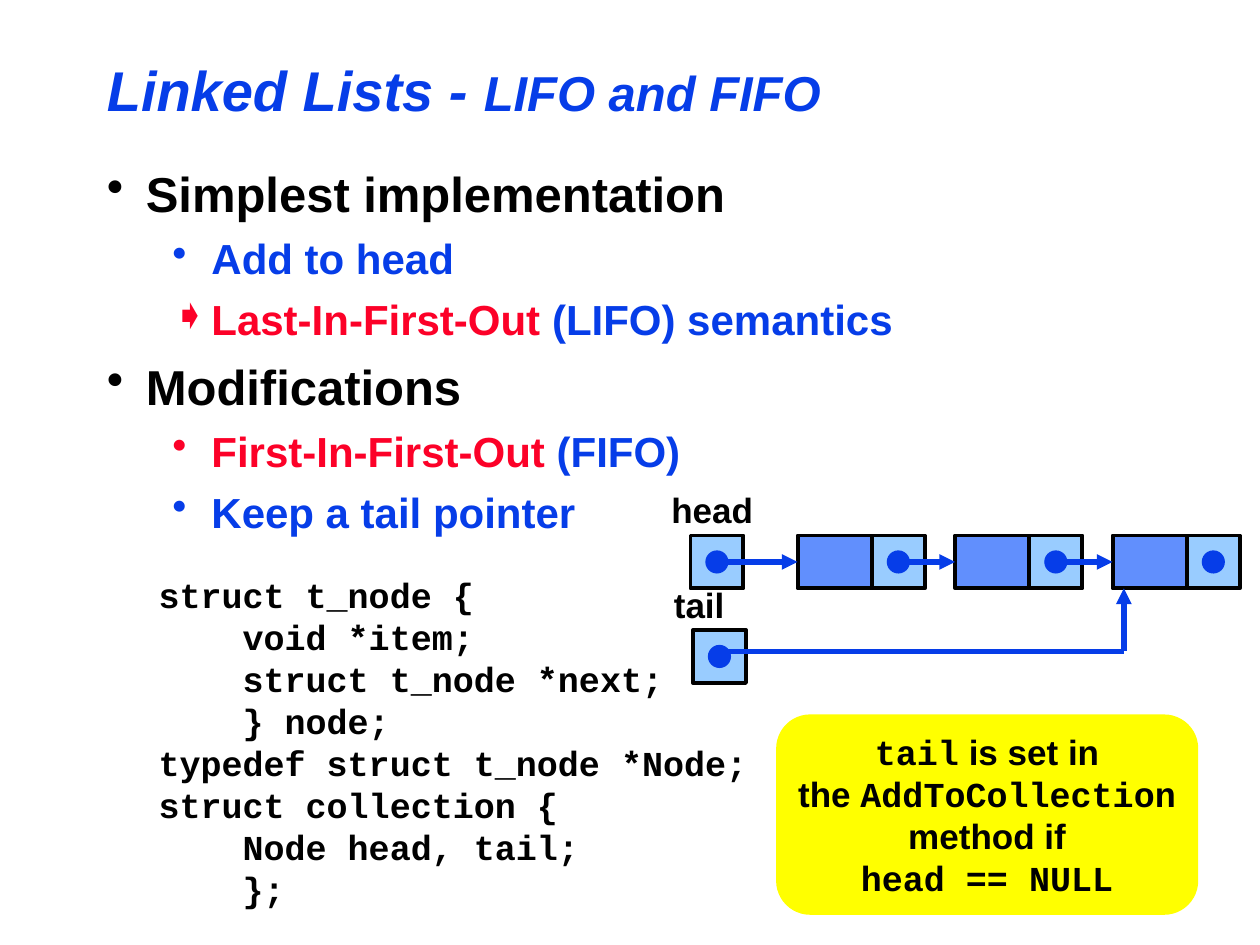
from lxml import etree
from pptx import Presentation
from pptx.dml.color import RGBColor
from pptx.enum.shapes import MSO_CONNECTOR, MSO_SHAPE
from pptx.enum.text import MSO_ANCHOR, PP_ALIGN
from pptx.oxml.ns import qn
from pptx.util import Inches, Pt

RECT, OVAL, ROUND = MSO_SHAPE.RECTANGLE, MSO_SHAPE.OVAL, MSO_SHAPE.ROUNDED_RECTANGLE
LINE = MSO_CONNECTOR.STRAIGHT
MIDDLE = MSO_ANCHOR.MIDDLE
LEFT, CENTER = PP_ALIGN.LEFT, PP_ALIGN.CENTER

BLACK, BLUE, RED = "000000", "063DE8", "FC0128"
LIGHT, MID, YELLOW, WHITE = "99CCFF", "618FFD", "FFFF00", "FFFFFF"
SANS, MONO = "Arial", "Courier New"
CELL, DOT, ITEM, STEP = 0.42, 0.17, 0.59, 1.25

CODE = [
    "struct t_node {",
    "    void *item;",
    "    struct t_node *next;",
    "    } node;",
    "typedef struct t_node *Node;",
    "struct collection {",
    "    Node head, tail;",
    "    };",
]
POINTS = [
    (0, "•", [("Simplest implementation", BLACK)]),
    (1, "•", [("Add to head", BLUE)]),
    (1, "➧", [("Last-In-First-Out", RED), (" (LIFO) semantics", BLUE)]),
    (0, "•", [("Modifications", BLACK)]),
    (1, "•", [("First-In-First-Out", RED), (" (FIFO)", BLUE)]),
    (1, "•", [("Keep a tail pointer", BLUE)]),
]
NOTE = [
    [("tail", MONO), (" is set in", SANS)],
    [("the ", SANS), ("AddToCollection", MONO)],
    [("method if", SANS)],
    [("head == NULL", MONO)],
]


def color(code):
    return RGBColor.from_string(code)


def add_run(para, text, size, tint=BLACK, face=SANS, italic=False):
    run = para.add_run()
    run.text = text
    font = run.font
    font.name, font.size = face, Pt(size)
    font.bold, font.italic = True, italic
    font.color.rgb = color(tint)


def add_para(frame, first, size, align=LEFT):
    para = frame.paragraphs[0] if first else frame.add_paragraph()
    para.alignment = align
    para.line_spacing = Pt(size * 1.2)
    return para


def add_text(slide, box, wrap=False):
    frame = slide.shapes.add_textbox(*map(Inches, box)).text_frame
    frame.word_wrap = wrap
    return frame


def add_shape(slide, kind, box, fill, edge=None, width=2.25):
    shape = slide.shapes.add_shape(kind, *map(Inches, box))
    shape.shadow.inherit = False
    shape.fill.solid()
    shape.fill.fore_color.rgb = color(fill)
    if edge:
        shape.line.color.rgb = color(edge)
        shape.line.width = Pt(width)
    else:
        shape.line.fill.background()
    return shape


def add_line(slide, start, end, head=True):
    line = slide.shapes.add_connector(LINE, *map(Inches, start + end))
    line.line.color.rgb = color(BLUE)
    line.line.width = Pt(3)
    if head:
        etree.SubElement(line.line._get_or_add_ln(), qn("a:tailEnd"), type="triangle")
    etree.SubElement(line._element.spPr, qn("a:effectLst"))


def add_bullet(para, mark, tint, left):
    props = para._p.get_or_add_pPr()
    props.set("marL", str(Inches(left)))
    props.set("indent", str(Inches(-0.31)))
    shade = etree.SubElement(props, qn("a:buClr"))
    etree.SubElement(shade, qn("a:srgbClr"), val=tint)
    etree.SubElement(props, qn("a:buChar"), char=mark)


def add_title(slide, box):
    frame = add_text(slide, box, True)
    frame.vertical_anchor = MIDDLE
    para = frame.paragraphs[0]
    add_run(para, "Linked Lists - ", 32, BLUE, italic=True)
    add_run(para, "LIFO and FIFO", 28, BLUE, italic=True)


def add_points(slide, box):
    frame = add_text(slide, box, True)
    for i, (level, mark, parts) in enumerate(POINTS):
        size, left, gap = [(28, 0.31, 7), (24, 0.83, 6)][level]
        para = add_para(frame, i == 0, size)
        para.level = level
        if i:
            para.space_before = Pt(gap)
        add_bullet(para, mark, parts[0][1], left)
        for text, tint in parts:
            add_run(para, text, size, tint)


def add_code(slide, box):
    frame = add_text(slide, box, True)
    for i, text in enumerate(CODE):
        add_run(add_para(frame, i == 0, 20), text, 20, face=MONO)


def add_note(slide, box):
    shape = add_shape(slide, ROUND, box, YELLOW)
    shape.adjustments[0] = 0.17
    frame = shape.text_frame
    frame.word_wrap = False
    frame.vertical_anchor = MIDDLE
    for i, parts in enumerate(NOTE):
        para = add_para(frame, i == 0, 20, CENTER)
        for text, face in parts:
            add_run(para, text, 20, face=face)


def add_cell(slide, x, y):
    add_shape(slide, RECT, (x, y, CELL, CELL), LIGHT, BLACK)
    inset = (CELL - DOT) / 2
    add_shape(slide, OVAL, (x + inset, y + inset, DOT, DOT), BLUE, BLUE, 1)


def add_label(slide, text, box):
    add_run(add_para(add_text(slide, box), True, 20), text, 20)


def add_list(slide, box):
    x, y, wide, high = box
    top, low = y + 0.42, y + high - CELL
    mid, turn = top + CELL / 2, low + 0.17
    nodes = [x + 1.1 + STEP * i for i in range(3)]
    for node in nodes:
        add_shape(slide, RECT, (node, top, ITEM, CELL), MID, BLACK)
        add_cell(slide, node + ITEM, top)
    add_cell(slide, x + 0.25, top)
    add_cell(slide, x + 0.27, low)
    add_label(slide, "head", (x, y, 0.85, 0.44))
    add_label(slide, "tail", (x + 0.02, y + 0.75, 0.6, 0.44))
    starts = [x + 0.52] + [node + 0.75 for node in nodes[:-1]]
    for start, end in zip(starts, nodes):
        add_line(slide, (start, mid), (end, mid))
    last = x + wide - 0.92
    add_line(slide, (last, turn), (last, top + CELL))
    add_line(slide, (x + 0.52, turn), (last, turn), False)


def main():
    deck = Presentation()
    deck.slide_width, deck.slide_height = Inches(10), Inches(7.5)
    slide = deck.slides.add_slide(deck.slide_layouts[6])
    slide.background.fill.solid()
    slide.background.fill.fore_color.rgb = color(WHITE)
    add_title(slide, (0.75, 0.33, 8.5, 0.75))
    add_points(slide, (0.75, 1.25, 8.5, 3.33))
    add_code(slide, (1.16, 4.5, 4.95, 2.77))
    add_note(slide, (6.16, 5.67, 3.35, 1.59))
    add_list(slide, (5.23, 3.83, 4.61, 1.59))
    deck.save("out.pptx")


if __name__ == "__main__":
    main()
